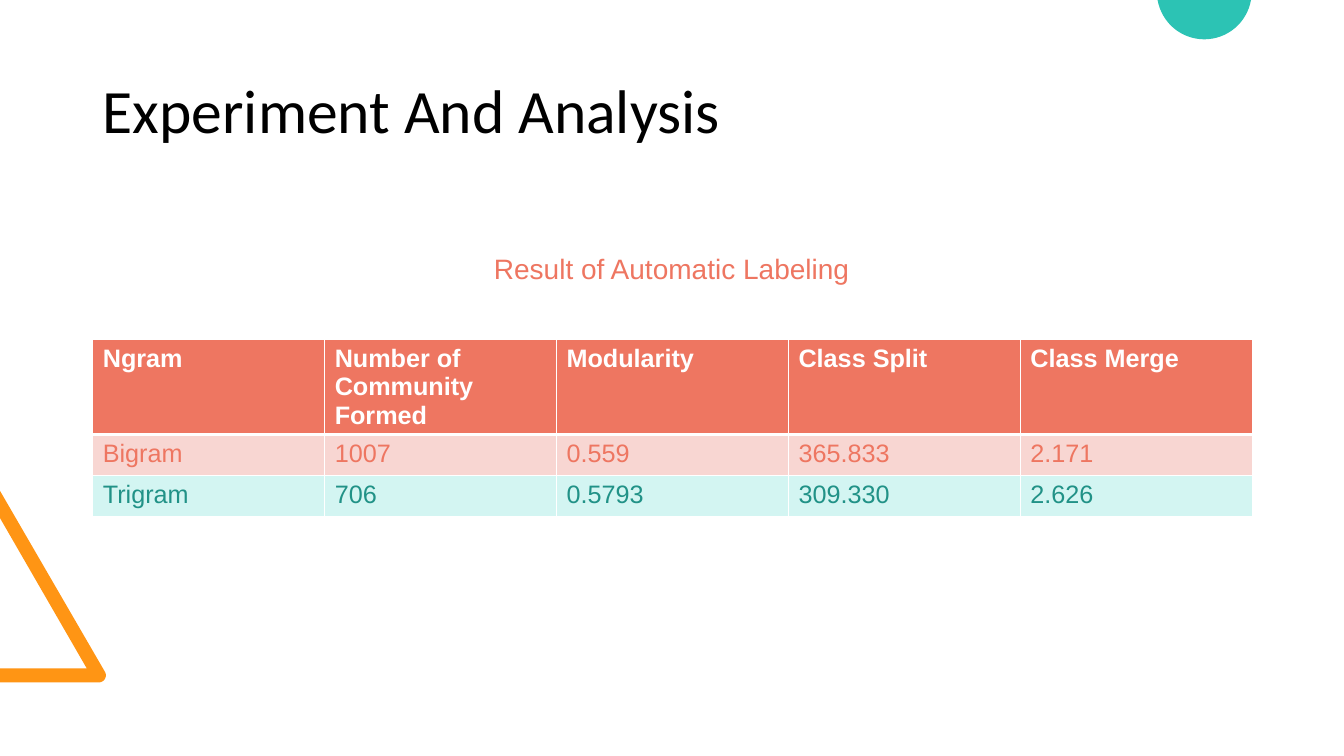
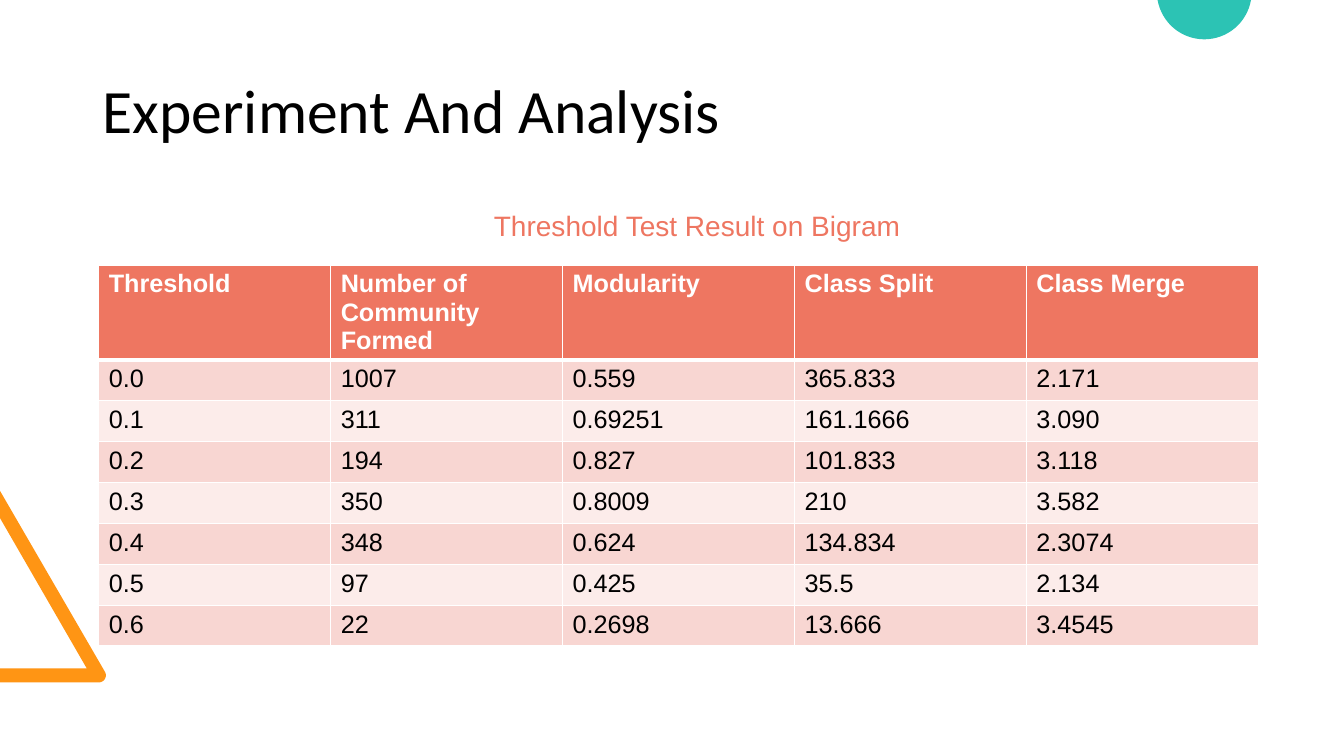
"""Build two slides with result tables of an n-gram community experiment."""
from math import cos, radians, sin

from pptx import Presentation
from pptx.dml.color import RGBColor
from pptx.enum.text import MSO_ANCHOR as Anchor, PP_ALIGN as Align
from pptx.oxml import parse_xml
from pptx.oxml.ns import nsdecls
from pptx.util import Inches, Pt

CORAL, TEAL, ORANGE = "EE7661", "2CC3B4", "FF9514"
WHITE, BLACK, GREEN = "FFFFFF", "000000", "219287"
ROSE, BLUSH, MINT = "F8D6D2", "FCECEA", "D3F5F2"
HEAD_H, ROW_H, COL_W = Inches(0.93), Inches(2.84 / 7), Inches(2.3)

TITLE = "Experiment And Analysis"
HEADS = ["Number of Community Formed", "Modularity", "Class Split", "Class Merge"]
PAGES = [
    {
        "label": "Result of Automatic Labeling",
        "label_y": 2.45,
        "at": (0.92, 3.37),
        "bands": [(ROSE, CORAL), (MINT, GREEN)],
        "rows": [
            ["Ngram", *HEADS],
            ["Bigram", "1007", "0.559", "365.833", "2.171"],
            ["Trigram", "706", "0.5793", "309.330", "2.626"],
        ],
    },
    {
        "label": "Threshold Test Result on Bigram",
        "label_y": 2.02,
        "at": (0.98, 2.63),
        "bands": [(ROSE, BLACK), (BLUSH, BLACK)],
        "rows": [
            ["Threshold", *HEADS],
            ["0.0", "1007", "0.559", "365.833", "2.171"],
            ["0.1", "311", "0.69251", "161.1666", "3.090"],
            ["0.2", "194", "0.827", "101.833", "3.118"],
            ["0.3", "350", "0.8009", "210", "3.582"],
            ["0.4", "348", "0.624", "134.834", "2.3074"],
            ["0.5", "97", "0.425", "35.5", "2.134"],
            ["0.6", "22", "0.2698", "13.666", "3.4545"],
        ],
    },
]


def color(code):
    return RGBColor.from_string(code)


def write(frame, text, size=18, font="Arial", ink=BLACK, bold=False, lead=None):
    frame.word_wrap = True
    par = frame.paragraphs[0]
    par.alignment = Align.LEFT
    par.line_spacing = lead
    run = par.add_run()
    run.text = text
    run.font.size, run.font.name, run.font.bold = Pt(size), font, bold
    run.font.color.rgb = color(ink)


def arc(x, y, r, start, end, step=5):
    turns = [radians(a) for a in range(start, end + 1, step)]
    return [(x + r * cos(t), y + r * sin(t)) for t in turns]


def outline(slide, points, fill):
    spots = [(Inches(x), Inches(y)) for x, y in points]
    pen = slide.shapes.build_freeform(*spots[0])
    pen.add_line_segments(spots[1:], close=True)
    shape = pen.convert_to_shape()
    shape.shadow.inherit = False
    shape.fill.solid()
    shape.fill.fore_color.rgb = color(fill)
    shape.line.fill.background()
    return shape


def decorate(slide):
    wedge = [(0, 6.77), (0, 6.63), (0.86, 6.63), (0, 5.14), (0, 4.87)]
    wedge += arc(0.98, 6.7, 0.07, -30, 90)
    disc = [(11.48, 0), (12.41, 0)] + arc(11.945, -0.08, 0.47, 10, 170)
    for points, fill in ((wedge, ORANGE), (disc, TEAL)):
        shape = outline(slide, points, fill)
        slide.slide_layout.shapes.element.append(shape.element)


def border(cell, **widths):
    for side, width in widths.items():
        cell._tc.get_or_add_tcPr().append(parse_xml(
            f'<a:ln{side} {nsdecls("a")} w="{Pt(width)}"><a:solidFill>'
            f'<a:srgbClr val="{WHITE}"/></a:solidFill></a:ln{side}>'))


def add_grid(slide, rows, at, bands):
    count = len(rows[0])
    x, y = map(Inches, at)
    height = HEAD_H + ROW_H * (len(rows) - 1)
    grid = slide.shapes.add_table(len(rows), count, x, y, COL_W * count, height).table
    for col in grid.columns:
        col.width = COL_W
    for i, row in enumerate(rows):
        head = i == 0
        grid.rows[i].height = HEAD_H if head else ROW_H
        fill, ink = (CORAL, WHITE) if head else bands[(i - 1) % len(bands)]
        for j, text in enumerate(row):
            cell = grid.cell(i, j)
            border(cell, L=1, R=1, T=3 if i == 1 else 1, B=3 if head else 1)
            cell.fill.solid()
            cell.fill.fore_color.rgb = color(fill)
            write(cell.text_frame, text, ink=ink, bold=head)


def add_page(deck, page):
    slide = deck.slides.add_slide(deck.slide_layouts[5])
    title = slide.shapes.title
    title.left, title.top = Inches(0.92), Inches(0.4)
    title.width, title.height = Inches(11.5), Inches(1.45)
    title.text_frame.vertical_anchor = Anchor.MIDDLE
    write(title.text_frame, TITLE, size=44, font="Calibri", lead=0.9)
    add_grid(slide, page["rows"], page["at"], page["bands"])
    label = slide.shapes.add_textbox(
        Inches(4.8), Inches(page["label_y"]), Inches(5), Inches(0.4))
    write(label.text_frame, page["label"], size=20, ink=CORAL)
    return slide


def main():
    deck = Presentation()
    deck.slide_width, deck.slide_height = Inches(13.33), Inches(7.5)
    slides = [add_page(deck, page) for page in PAGES]
    decorate(slides[0])
    deck.save("out.pptx")


if __name__ == "__main__":
    main()
